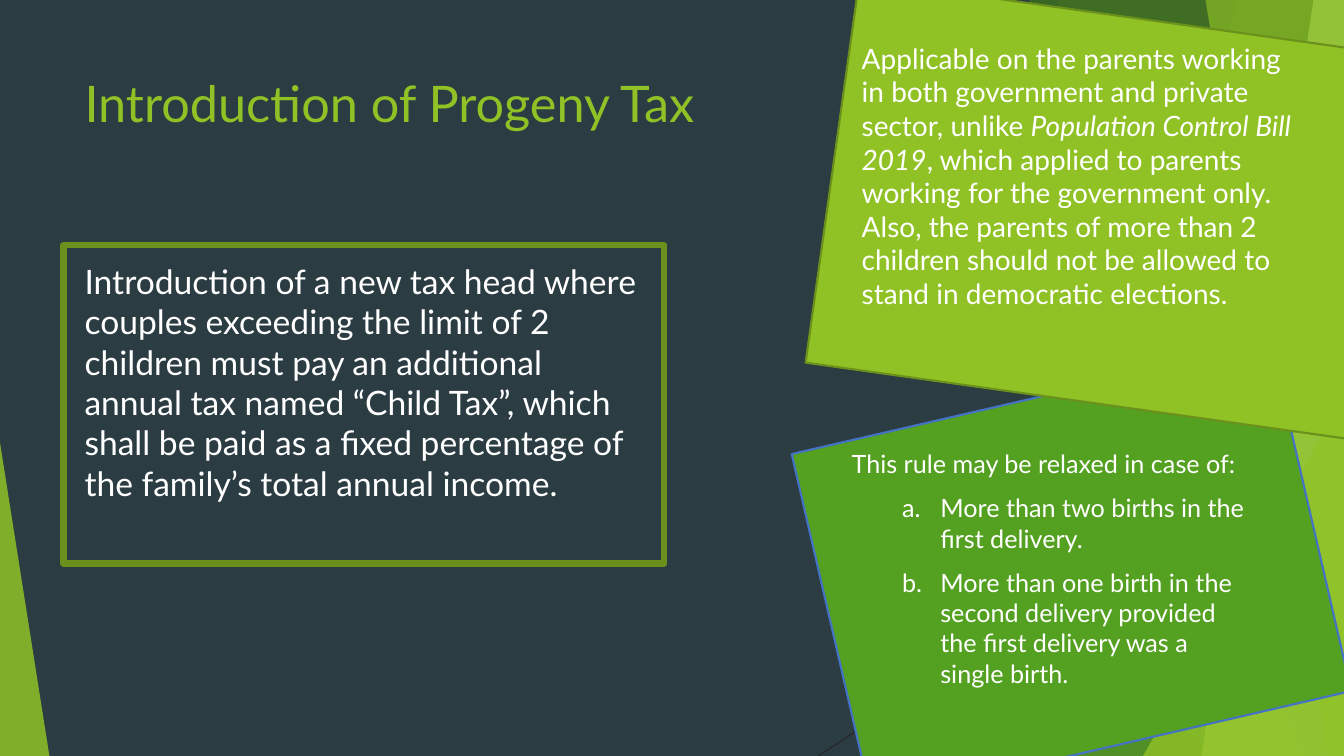
from lxml import etree
from pptx import Presentation
from pptx import util as u
from pptx.dml.color import RGBColor
from pptx.enum import shapes, text
from pptx.oxml.ns import qn

LIME, GREEN, OLIVE, WHITE = "90C226", "54A021", "6B901C", "FFFFFF"


def colour(hex_code):
    return RGBColor.from_string(hex_code)


def write(paragraph, content, size=18, color=WHITE, italic=False, font="Lato"):
    run = paragraph.add_run()
    run.text = content
    run.font.name = font
    run.font.size = u.Pt(size)
    run.font.italic = italic
    run.font.color.rgb = colour(color)


def number(paragraph, indent, hanging):
    properties = paragraph._p.get_or_add_pPr()
    properties.set("marL", str(u.Inches(indent)))
    properties.set("indent", str(-u.Inches(hanging)))
    etree.SubElement(properties, qn("a:buFont"), typeface="+mj-lt")
    etree.SubElement(properties, qn("a:buAutoNum"), type="alphaLcPeriod")


class Deck:
    def __init__(self, background):
        self.presentation = Presentation()
        self.presentation.slide_width = u.Inches(13.333)
        self.presentation.slide_height = u.Inches(7.5)
        self.slide = self.presentation.slides.add_slide(self.presentation.slide_layouts[6])
        self.slide.background.fill.solid()
        self.slide.background.fill.fore_color.rgb = colour(background)
        self.shapes = self.slide.shapes

    def x(self, percent):
        return round(self.presentation.slide_width * percent / 100)

    def y(self, percent):
        return round(self.presentation.slide_height * percent / 100)

    def box(self, left, top, width, height):
        return self.x(left), self.y(top), self.x(width), self.y(height)

    def paint(self, shape, fill=None, opacity=100, line=None, weight=1.5):
        shape.shadow.inherit = False
        if fill:
            shape.fill.solid()
            shape.fill.fore_color.rgb = colour(fill)
            if opacity < 100:
                color = shape.fill._xPr.find(qn("a:solidFill"))[0]
                etree.SubElement(color, qn("a:alpha"), val=str(opacity * 1000))
        else:
            shape.fill.background()
        if line:
            shape.line.color.rgb = colour(line)
            shape.line.width = u.Pt(weight)
            etree.SubElement(shape.line._ln, qn("a:round"))
        else:
            shape.line.fill.background()

    def line(self, start, end, color, weight):
        connector = self.shapes.add_connector(
            shapes.MSO_CONNECTOR.STRAIGHT,
            self.x(start[0]), self.y(start[1]), self.x(end[0]), self.y(end[1]))
        connector.line.color.rgb = colour(color)
        connector.line.width = u.Pt(weight)
        etree.SubElement(connector._element.spPr, qn("a:effectLst"))

    def band(self, top_x, bottom_x, fill, opacity):
        builder = self.shapes.build_freeform(self.x(top_x), 0, scale=1.0)
        corners = [(100, 0), (100, 100), (bottom_x, 100)]
        builder.add_line_segments([(self.x(x), self.y(y)) for x, y in corners], close=True)
        self.paint(builder.convert_to_shape(), fill, opacity)

    def triangle(self, place, apex, fill, opacity):
        shape = self.shapes.add_shape(shapes.MSO_SHAPE.ISOSCELES_TRIANGLE, *self.box(*place))
        shape.adjustments[0] = apex
        self.paint(shape, fill, opacity)

    def rectangle(self, place, rotation=0, **style):
        shape = self.shapes.add_shape(shapes.MSO_SHAPE.RECTANGLE, *self.box(*place))
        shape.rotation = rotation
        self.paint(shape, **style)

    def text(self, place, paragraphs, **style):
        frame = self.shapes.add_textbox(*self.box(*place)).text_frame
        frame.word_wrap = True
        frame.vertical_anchor = text.MSO_ANCHOR.TOP
        for index, (runs, numbered) in enumerate(paragraphs):
            paragraph = frame.paragraphs[0] if index == 0 else frame.add_paragraph()
            if index:
                paragraph.space_before = u.Pt(10)
            if numbered:
                number(paragraph, 0.88, 0.38)
            for content, italic in runs:
                write(paragraph, content, italic=italic, **style)


def plain(content, numbered=False):
    return [(content, False)], numbered


def main():
    deck = Deck("2C3C43")

    deck.line((76.88, 0), (86.85, 100), "262626", 0.75)
    deck.line((100, 53.73), (60.9, 100), "262626", 0.75)
    deck.band(92.1, 75.3, LIME, 30)
    deck.band(78.75, 88.73, LIME, 20)
    deck.triangle((73.28, 44.4, 26.72, 55.6), 1, GREEN, 72)
    deck.band(76.58, 96.83, "3F7819", 70)
    deck.band(97.73, 89.4, "C0E474", 70)
    deck.band(89.7, 98.85, LIME, 65)
    deck.triangle((85.05, 52.4, 14.95, 47.6), 1, LIME, 80)
    deck.triangle((0, 58.53, 3.68, 41.47), 0, LIME, 85)

    deck.text((5.55, 8.93, 70.5, 19.2), [plain("Introduction of Progeny Tax")],
              size=36, color=LIME)
    deck.text((5.55, 33.87, 42.83, 32.4), [plain(
        "Introduction of a new tax head where couples exceeding the limit of 2 children "
        "must pay an additional annual tax named “Child Tax”, which shall be paid as a "
        "fixed percentage of the family’s total annual income.")], size=24)

    deck.rectangle((66.45, 43.2, 26.55, 65.07), 77, fill=GREEN, line="4472C4")
    deck.text((62.63, 58.67, 31.05, 47.33), [
        plain("This rule may be relaxed in case of:"),
        plain("More than two births in the first delivery.", True),
        plain("More than one birth in the second delivery provided the first delivery "
              "was a single birth.", True)], size=18)

    deck.rectangle((61.73, 2.53, 44.48, 51.2), 8, fill=LIME, line=OLIVE)
    deck.text((63.38, 4.8, 34.73, 41.73), [([
        ("Applicable on the parents working in both government and private sector, "
         "unlike ", False),
        ("Population Control Bill 2019", True),
        (", which applied to parents working for the government only. Also, the parents "
         "of more than 2 children should not be allowed to stand in democratic "
         "elections.", False)], False)], size=20)

    deck.rectangle((4.73, 32.4, 44.7, 42.13), line=OLIVE, weight=4.5)
    deck.presentation.save("out.pptx")


if __name__ == "__main__":
    main()
